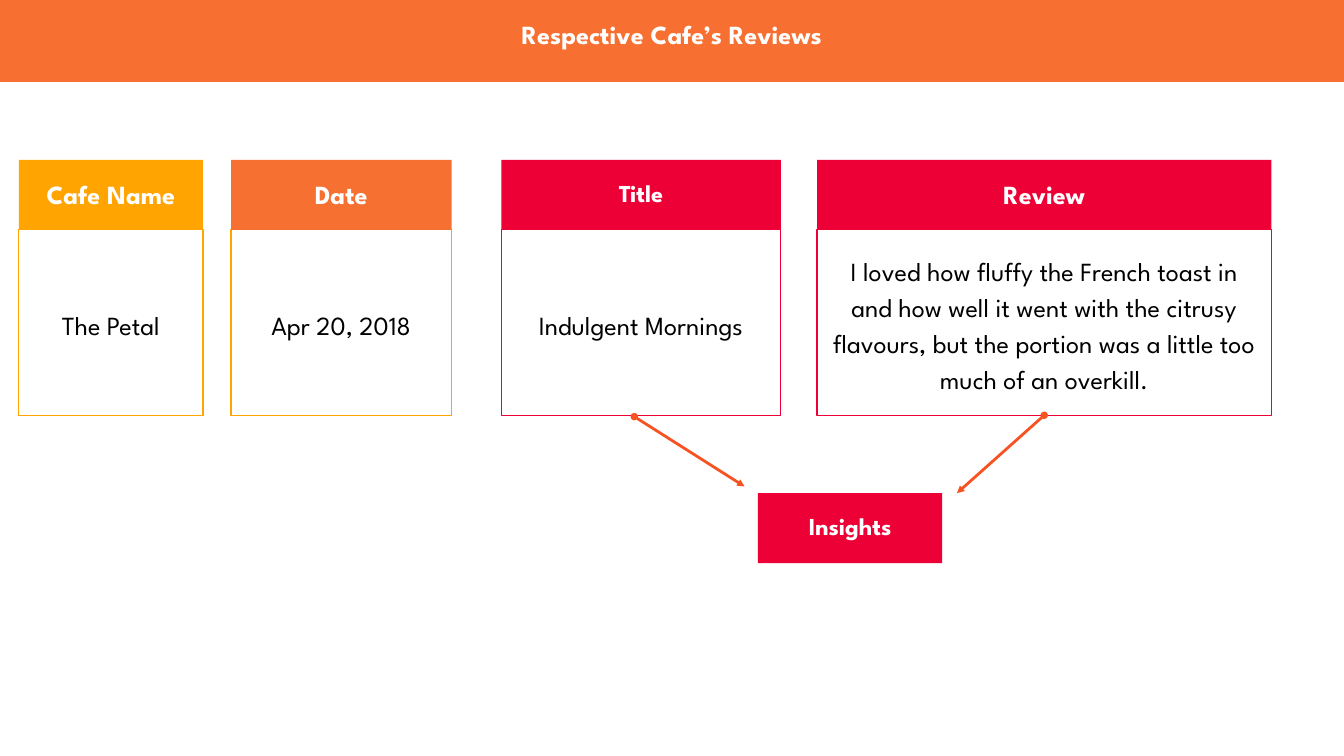
from lxml import etree
from pptx import Presentation
from pptx.dml.color import RGBColor
from pptx.enum.shapes import MSO_CONNECTOR, MSO_SHAPE
from pptx.enum.text import MSO_ANCHOR, PP_ALIGN
from pptx.oxml.ns import qn
from pptx.util import Inches, Pt

RECTANGLE = MSO_SHAPE.RECTANGLE
STRAIGHT = MSO_CONNECTOR.STRAIGHT
TOP, MIDDLE = MSO_ANCHOR.TOP, MSO_ANCHOR.MIDDLE
CENTER = PP_ALIGN.CENTER

THEME = {
    "font": "League Spartan",
    "banner": "F77031",
    "amber": "FFA400",
    "orange": "F67031",
    "red": "ED0036",
    "arrow": "F75322",
    "white": "FFFFFF",
    "black": "000000",
    "size": 14,
    "small": 13,
    "border": 0.75,
    "arrow_width": 1.5,
}

BANNER = "Respective Cafe’s Reviews"
FIELDS = [
    ("Cafe Name", "The Petal", 0.14, 1.37, "amber", "amber", "size"),
    ("Date", "Apr 20, 2018", 1.72, 1.64, "orange", "amber", "size"),
    ("Title", "Indulgent Mornings", 3.73, 2.08, "red", "red", "small"),
    ("Review",
     "I loved how fluffy the French toast in and how well it went with the "
     "citrusy flavours, but the portion was a little too much of an overkill.",
     6.08, 3.38, "red", "red", "size"),
]
INSIGHTS = ("Insights", 5.64, 3.67, 1.37)
ARROWS = [((4.72, 3.1), (5.54, 3.62)), ((7.77, 3.09), (7.12, 3.67))]

SLIDE_WIDTH = 10
SLIDE_HEIGHT = SLIDE_WIDTH * 9 / 16
BANNER_HEIGHT = 0.61
VALUE_TOP, VALUE_HEIGHT = 1.71, 1.38
HEADER_HEIGHT = 0.52
HEADER_TOP = VALUE_TOP - HEADER_HEIGHT
INSET = 0.1


def color(name):
    return RGBColor.from_string(THEME[name])


def add_box(slide, text, area, ink, fill=None, border=None, size="size"):
    box = slide.shapes.add_shape(RECTANGLE, *map(Inches, area))
    box.shadow.inherit = False
    if fill:
        box.fill.solid()
        box.fill.fore_color.rgb = color(fill)
    else:
        box.fill.background()
    if border:
        box.line.color.rgb = color(border)
        box.line.width = Pt(THEME["border"])
    else:
        box.line.fill.background()

    frame = box.text_frame
    frame_format = {
        "word_wrap": True,
        "vertical_anchor": TOP if fill else MIDDLE,
        **{f"margin_{side}": Inches(INSET)
           for side in ("left", "top", "right", "bottom")},
    }
    for name, value in frame_format.items():
        setattr(frame, name, value)

    paragraph = frame.paragraphs[0]
    paragraph.text = text
    paragraph.alignment = CENTER
    paragraph.line_spacing = 1.15
    font_format = {"name": THEME["font"], "size": Pt(THEME[size]), "bold": bool(fill)}
    for run in paragraph.runs:
        for name, value in font_format.items():
            setattr(run.font, name, value)
        run.font.color.rgb = color(ink)


def add_arrow(slide, start, end):
    arrow = slide.shapes.add_connector(STRAIGHT, *map(Inches, start + end))
    arrow.line.color.rgb = color("arrow")
    arrow.line.width = Pt(THEME["arrow_width"])
    outline = arrow.line._get_or_add_ln()
    for tag, kind in (("a:headEnd", "oval"), ("a:tailEnd", "triangle")):
        etree.SubElement(outline, qn(tag), type=kind, w="sm", len="sm")
    etree.SubElement(arrow._element.spPr, qn("a:effectLst"))


def main():
    deck = Presentation()
    deck.slide_width = Inches(SLIDE_WIDTH)
    deck.slide_height = Inches(SLIDE_HEIGHT)
    slide = deck.slides.add_slide(deck.slide_layouts[6])

    add_box(slide, BANNER, (0, 0, SLIDE_WIDTH, BANNER_HEIGHT), "white", fill="banner")
    for header, value, left, width, fill, border, size in FIELDS:
        add_box(slide, value, (left, VALUE_TOP, width, VALUE_HEIGHT), "black", border=border)
        add_box(slide, header, (left, HEADER_TOP, width, HEADER_HEIGHT), "white",
                fill=fill, size=size)
    for start, end in ARROWS:
        add_arrow(slide, start, end)
    label, left, top, width = INSIGHTS
    add_box(slide, label, (left, top, width, HEADER_HEIGHT), "white", fill="red", size="small")

    deck.save("out.pptx")


if __name__ == "__main__":
    main()
